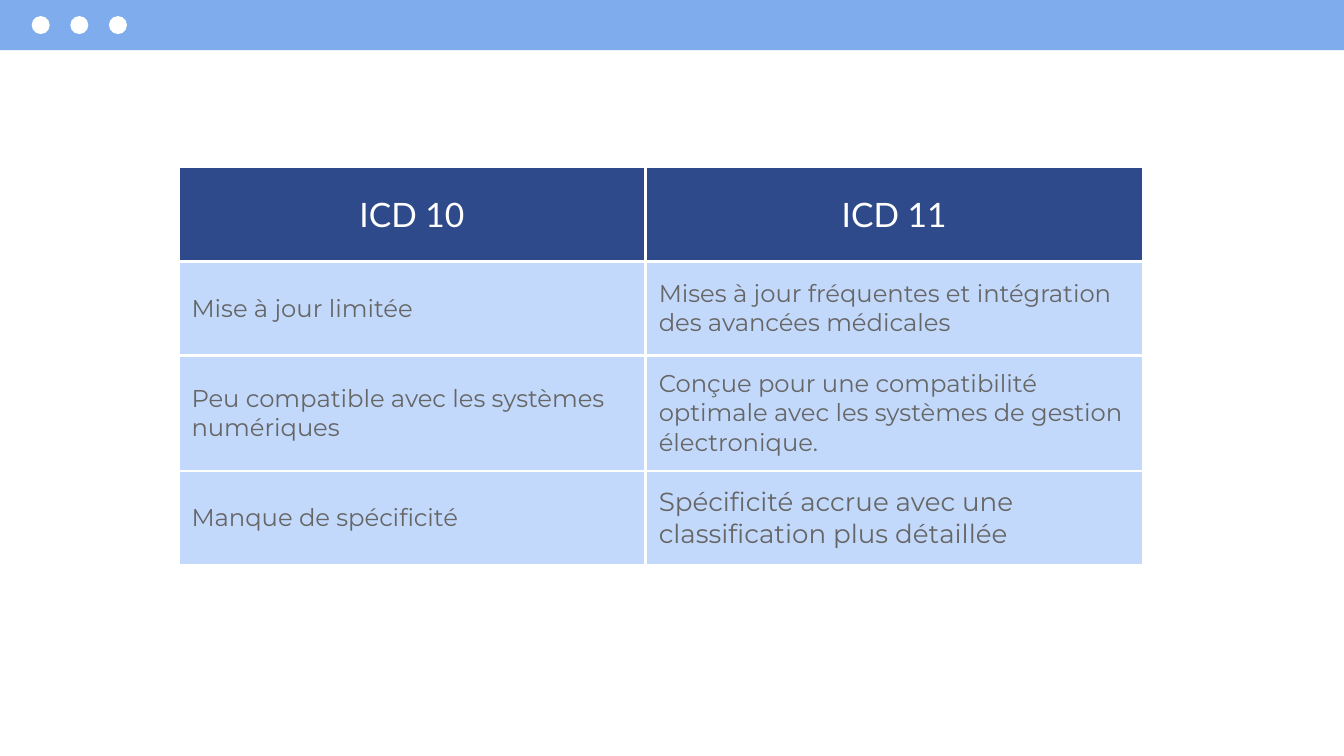
from lxml.etree import SubElement
from pptx import Presentation
from pptx.dml.color import RGBColor
from pptx.enum.shapes import MSO_SHAPE
from pptx.enum.text import MSO_ANCHOR, PP_ALIGN
from pptx.oxml.ns import qn
from pptx.util import Cm, Pt

COLORS = {
    "bar": "7EACEC",
    "white": "FFFFFF",
    "header": "2F4A8A",
    "body": "C3D9FB",
    "text": "666666",
}
ROWS = [
    ("ICD 10", "ICD 11"),
    ("Mise à jour limitée",
     "Mises à jour fréquentes et intégration des avancées médicales"),
    ("Peu compatible avec les systèmes numériques",
     "Conçue pour une compatibilité optimale avec les systèmes de gestion électronique."),
    ("Manque de spécificité",
     "Spécificité accrue avec une classification plus détaillée"),
]
COLUMN_WIDTHS = (6.35, 8.83, 9.4)
ROW_HEIGHTS = (1.78, 1.78, 2.18, 1.78)


def color(name):
    """Return the named colour of the palette."""
    return RGBColor.from_string(COLORS[name])


def add_plain_shape(page, kind, box, fill):
    """Add a flat shape without outline in a box given in centimetres."""
    shape = page.shapes.add_shape(kind, *map(Cm, box))
    shape.shadow.inherit = False
    shape.fill.solid()
    shape.fill.fore_color.rgb = color(fill)
    shape.line.fill.background()


def add_window_bar(page, box):
    """Draw the top bar with its three round buttons."""
    left, top, width, height = box
    add_plain_shape(page, MSO_SHAPE.RECTANGLE, box, "bar")
    size, step = 0.34, 0.73
    for index in range(3):
        dot = (left + 0.6 + index * step, top + (height - size) / 2, size, size)
        add_plain_shape(page, MSO_SHAPE.OVAL, dot, "white")


def add_cell_borders(cell):
    """Give a cell white borders on all four sides."""
    properties = cell._tc.get_or_add_tcPr()
    for side in ("a:lnL", "a:lnR", "a:lnT", "a:lnB"):
        line = SubElement(properties, qn(side), w=str(Pt(1.5)))
        fill = SubElement(line, qn("a:solidFill"))
        SubElement(fill, qn("a:srgbClr"), val=COLORS["white"])


def fill_cell(cell, text, is_header, size):
    """Style a table cell and write its text."""
    cell.fill.solid()
    cell.fill.fore_color.rgb = color("header" if is_header else "body")
    cell.vertical_anchor = MSO_ANCHOR.MIDDLE
    cell.margin_left = cell.margin_right = Cm(0.25)
    cell.margin_top = cell.margin_bottom = Cm(0.25)
    para = cell.text_frame.paragraphs[0]
    para.alignment = PP_ALIGN.CENTER if is_header else PP_ALIGN.LEFT
    span = para.add_run()
    span.text = text
    span.font.size = Pt(size)
    span.font.bold = False
    span.font.name = "Lato" if is_header else "Montserrat"
    span.font.color.rgb = color("white" if is_header else "text")


def add_comparison_table(page, box):
    """Place the comparison table, whose first column is one merged blank cell."""
    frame = page.shapes.add_table(len(ROWS), len(COLUMN_WIDTHS), *map(Cm, box))
    table = frame.table
    table.horz_banding = False
    for column, width in zip(table.columns, COLUMN_WIDTHS):
        column.width = Cm(width)
    for row, height in zip(table.rows, ROW_HEIGHTS):
        row.height = Cm(height)
    for cell in table.iter_cells():
        add_cell_borders(cell)
        cell.fill.background()
    last_row, last_column = len(ROWS) - 1, len(COLUMN_WIDTHS) - 1
    table.cell(0, 0).merge(table.cell(last_row, 0))
    for row_index, texts in enumerate(ROWS):
        for column_index, text in enumerate(texts, start=1):
            is_header = row_index == 0
            is_last = (row_index, column_index) == (last_row, last_column)
            size = 18 if is_header else 14 if is_last else 13
            fill_cell(table.cell(row_index, column_index), text, is_header, size)


def main():
    """Build the deck and save it."""
    deck = Presentation()
    deck.slide_width, deck.slide_height = Cm(25.4), Cm(14.29)
    page = deck.slides.add_slide(deck.slide_layouts[6])
    add_window_bar(page, (0, 0, 25.4, 0.95))
    add_comparison_table(page, (-2.98, 3.16, sum(COLUMN_WIDTHS), sum(ROW_HEIGHTS)))
    deck.save("out.pptx")


if __name__ == "__main__":
    main()
